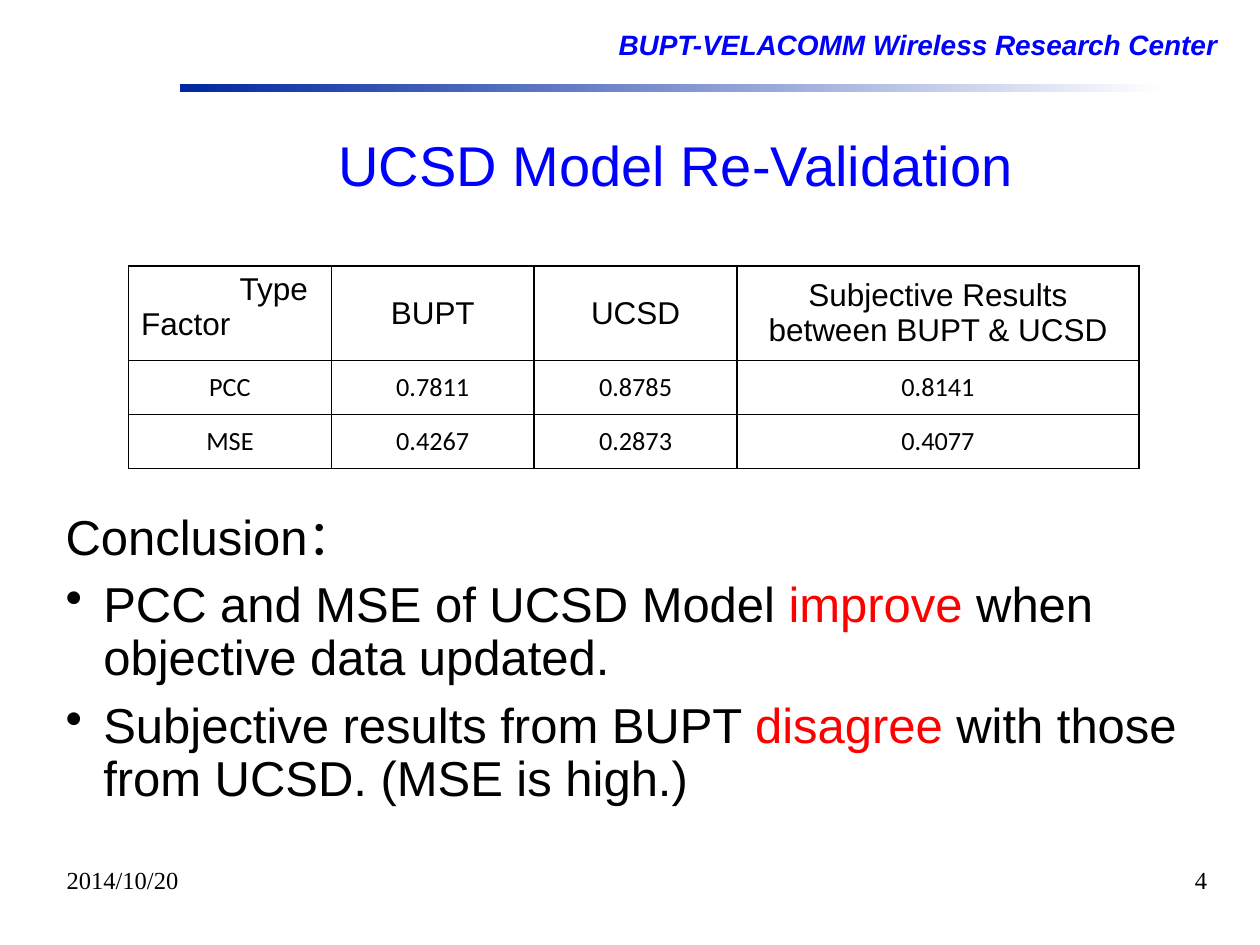
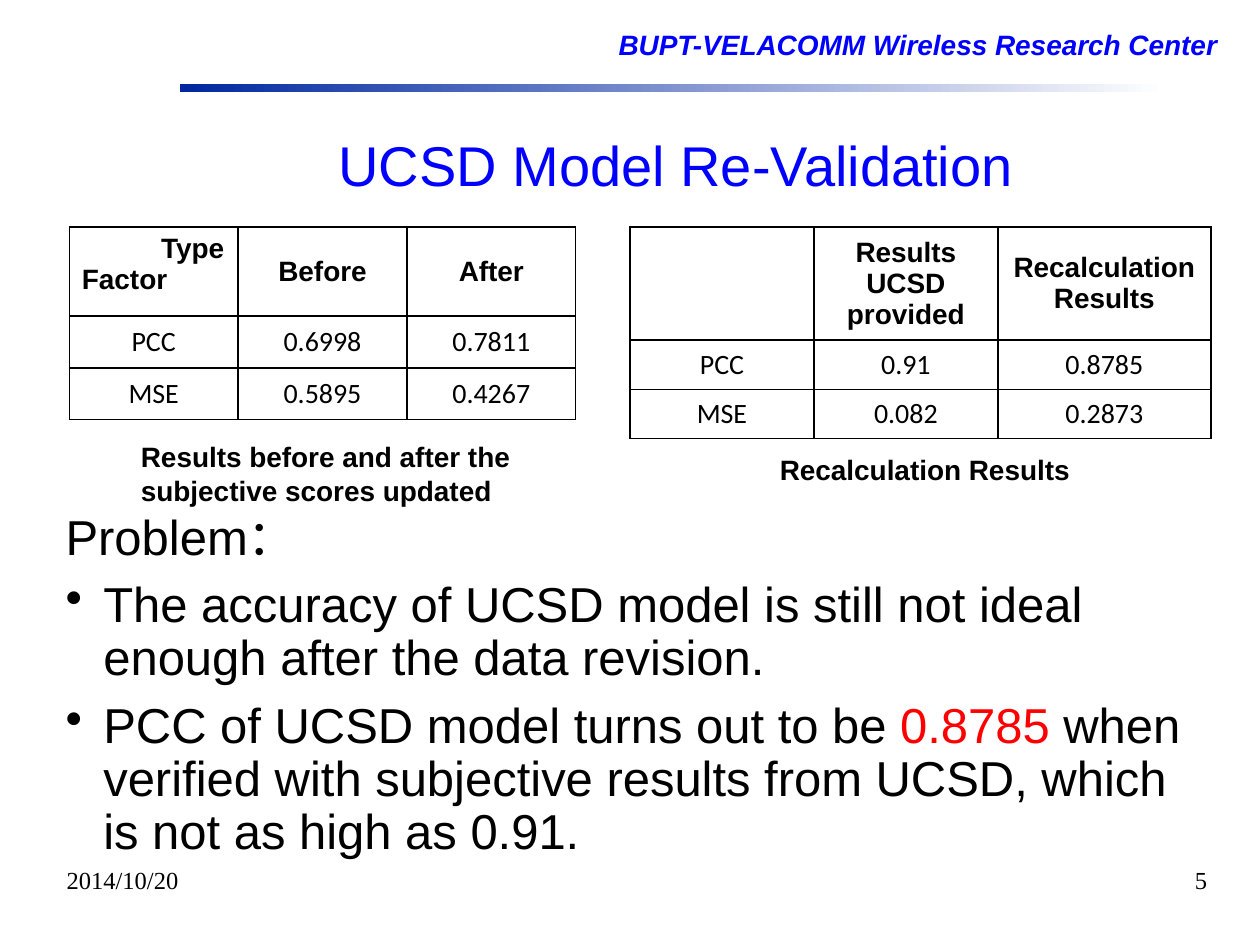
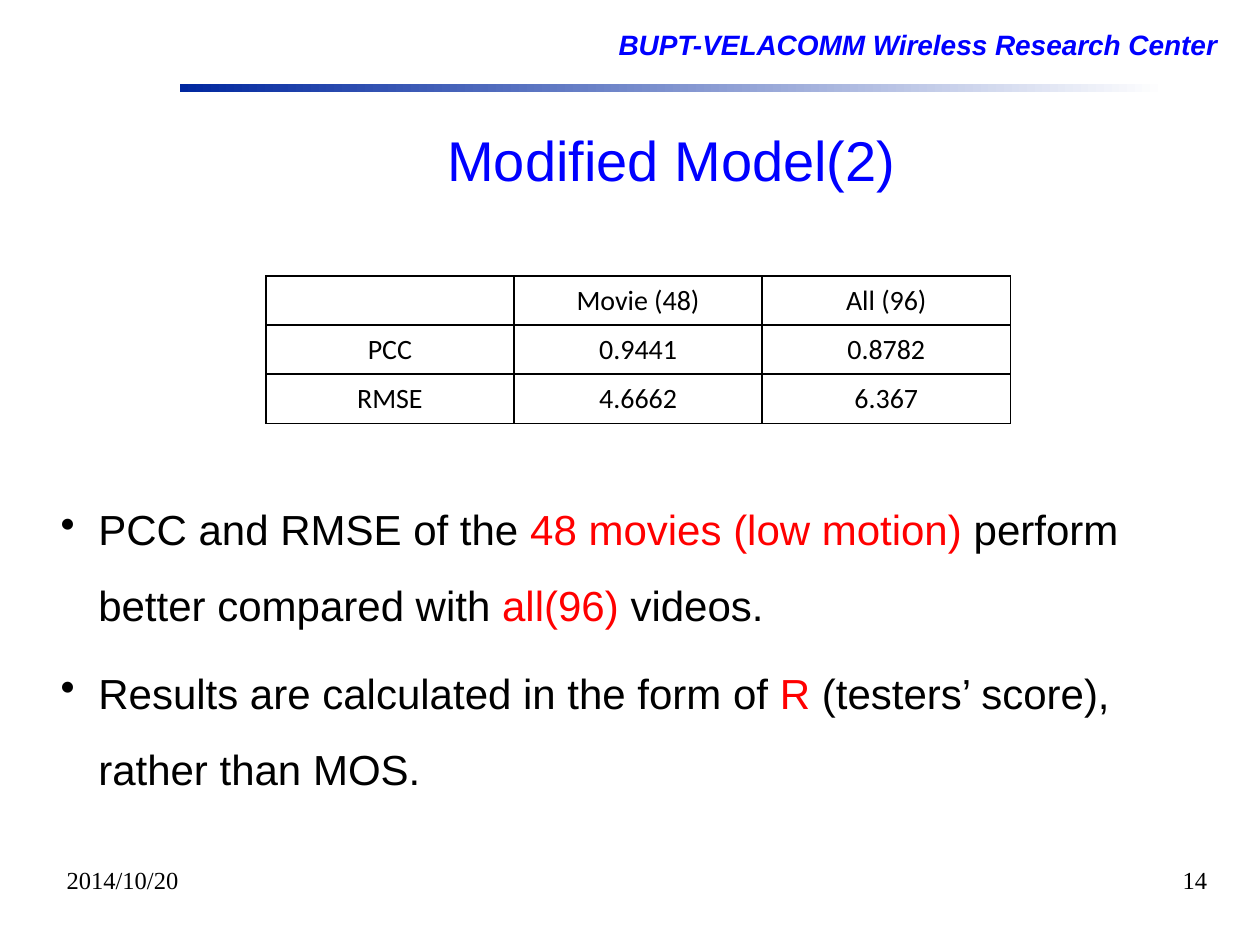
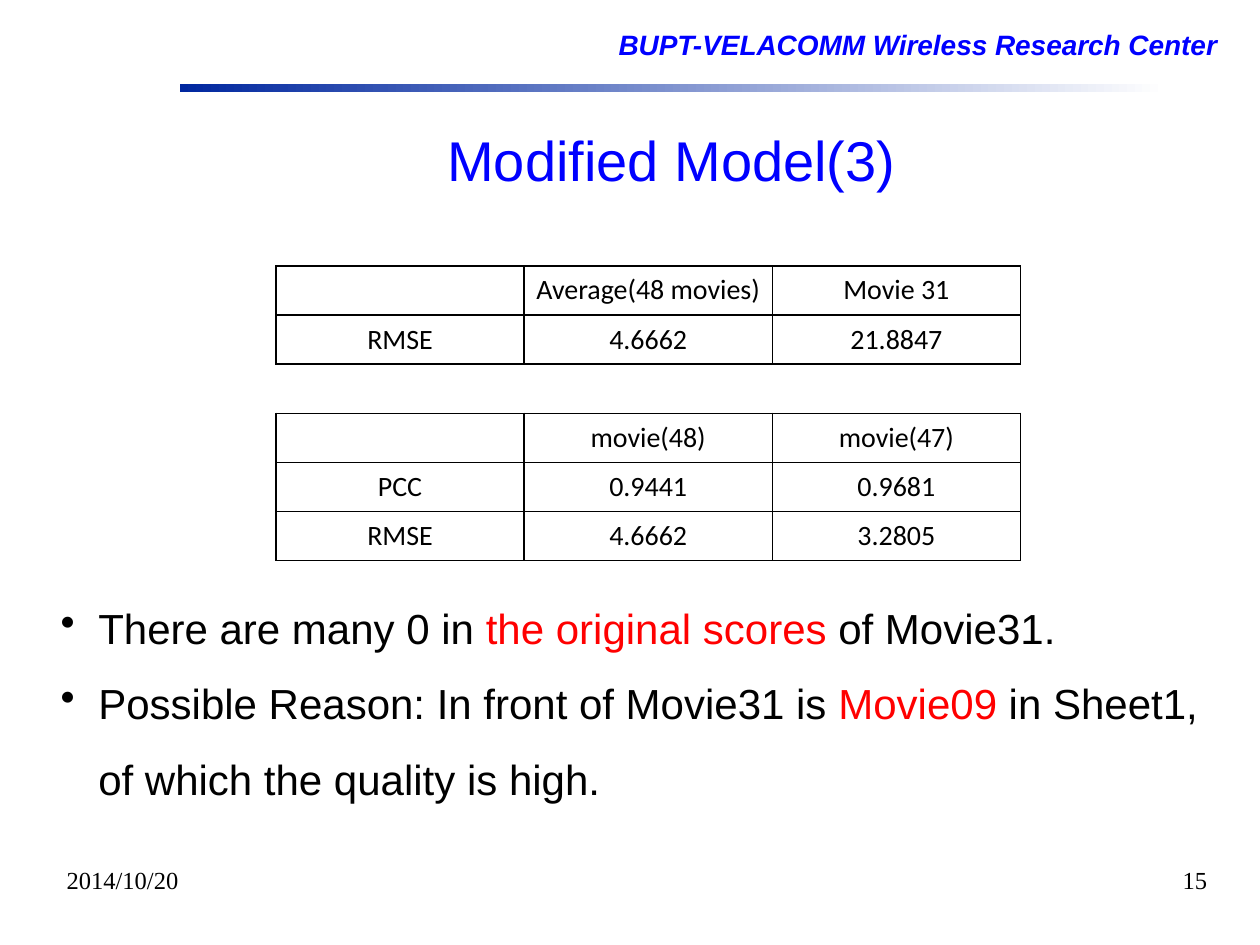
from lxml.etree import SubElement
from pptx import Presentation
from pptx.dml.color import RGBColor
from pptx.enum.shapes import MSO_SHAPE
from pptx.enum.text import MSO_ANCHOR, MSO_AUTO_SIZE, PP_ALIGN
from pptx.oxml.ns import qn
from pptx.util import Inches, Pt

BLUE = RGBColor(0x00, 0x00, 0xFF)
NAVY = RGBColor(0x00, 0x27, 0x9F)
RED = RGBColor(0xFF, 0x00, 0x00)
BLACK = RGBColor(0x00, 0x00, 0x00)
WHITE = RGBColor(0xFF, 0xFF, 0xFF)
SANS, TABLE_FONT, SERIF = "Arial", "Calibri", "Times New Roman"

CENTER_NAME = "BUPT-VELACOMM Wireless Research Center"
DATE = "2014/10/20"
CORNER = "Type\nFactor"
HANGING = Inches(0.3)
SPACE_SHARE = 2.78


def style(paragraph, size, font=SANS, color=BLACK, bold=False, italic=False,
          align=PP_ALIGN.LEFT):
    paragraph.alignment = align
    paragraph.font.size = Pt(size)
    paragraph.font.name = font
    paragraph.font.color.rgb = color
    paragraph.font.bold = bold
    paragraph.font.italic = italic


def add_frame(slide, left, top, width, height, insets=(0.1, 0.05), wrap=True):
    box = slide.shapes.add_textbox(Inches(left), Inches(top), Inches(width), Inches(height))
    frame = box.text_frame
    frame.word_wrap = wrap
    frame.auto_size = MSO_AUTO_SIZE.NONE
    frame.margin_left = frame.margin_right = Inches(insets[0])
    frame.margin_top = frame.margin_bottom = Inches(insets[1])
    return frame


def add_line(slide, left, top, width, height, text, size, insets=(0.1, 0.05),
             wrap=True, spacing=None, **look):
    paragraph = add_frame(slide, left, top, width, height, insets, wrap).paragraphs[0]
    paragraph.text = text
    paragraph.line_spacing = spacing
    style(paragraph, size, **look)


def add_band(slide):
    band = slide.shapes.add_shape(MSO_SHAPE.RECTANGLE, Inches(1.43), Inches(0.67),
                                  Inches(7.82), Inches(0.06))
    band.shadow.inherit = False
    band.line.fill.background()
    band.fill.gradient()
    band.fill.gradient_angle = 0
    for stop, color, position in zip(band.fill.gradient_stops, (NAVY, WHITE), (0, 1)):
        stop.color.rgb = color
        stop.position = position


def add_page(deck, title, number, title_top):
    slide = deck.slides.add_slide(deck.slide_layouts[6])
    add_line(slide, 4.75, 0.25, 5.17, 0.62, CENTER_NAME, 16, (0.16, 0),
             spacing=0.9, color=BLUE, bold=True, italic=True)
    add_band(slide)
    title_left, title_width = (2.58, 5.57) if title.startswith("UCSD") else (3.47, 3.72)
    add_line(slide, title_left, title_top, title_width, 0.51, title, 32, (0.07, 0.03),
             wrap=False, spacing=0.85, color=BLUE, align=PP_ALIGN.CENTER)
    add_line(slide, 0.43, 6.82, 2.08, 0.5, DATE, 14, font=SERIF)
    add_line(slide, 7.6, 6.82, 2.08, 0.5, str(number), 14, font=SERIF, align=PP_ALIGN.RIGHT)
    return slide


def add_bullet(paragraph):
    properties = paragraph._p.get_or_add_pPr()
    properties.set("marL", str(HANGING))
    properties.set("indent", str(-HANGING))
    bullet = SubElement(properties, qn("a:buChar"))
    bullet.set("char", "•")


def add_points(slide, left, top, height, size, spacing, points, heading=None, gap=0.3):
    frame = add_frame(slide, left, top, 9.21, height, (0.09, 0.05))
    lines = ([[heading]] if heading else []) + points
    for index, parts in enumerate(lines):
        paragraph = frame.paragraphs[0] if index == 0 else frame.add_paragraph()
        paragraph.line_spacing = spacing
        paragraph.space_before = Pt(size * gap if index else 0)
        if parts != [heading]:
            add_bullet(paragraph)
        style(paragraph, size)
        for part_index, part in enumerate(parts):
            run = paragraph.add_run()
            run.text = part
            if part_index % 2:
                run.font.color.rgb = RED


def draw_borders(cell):
    properties = cell._tc.get_or_add_tcPr()
    for side in ("lnL", "lnR", "lnT", "lnB"):
        border = SubElement(properties, qn(f"a:{side}"), w=str(Pt(1)))
        fill = SubElement(border, qn("a:solidFill"))
        SubElement(fill, qn("a:srgbClr"), val=str(BLACK))


def fill_cell(cell, text, size, font, bold):
    draw_borders(cell)
    cell.fill.background()
    cell.text = text
    if text != CORNER:
        cell.vertical_anchor = MSO_ANCHOR.MIDDLE
    if font == TABLE_FONT:
        cell.margin_left = cell.margin_right = Inches(0.07)
        cell.margin_top = cell.margin_bottom = 0
    for paragraph in cell.text_frame.paragraphs:
        style(paragraph, size, font, bold=bold, align=PP_ALIGN.CENTER)
    if text == CORNER:
        type_label, factor_label = cell.text_frame.paragraphs
        type_label._p.get_or_add_pPr().set("marL", str(Pt(size * SPACE_SHARE)))
        factor_label.alignment = PP_ALIGN.LEFT


def add_grid(slide, left, top, widths, heights, rows, size=16, head_size=16,
             head_font=TABLE_FONT, head_bold=False):
    frame = slide.shapes.add_table(len(rows), len(widths), Inches(left), Inches(top),
                                   Inches(sum(widths)), Inches(sum(heights)))
    grid = frame.table
    grid.first_row = grid.horz_banding = False
    for column, width in zip(grid.columns, widths):
        column.width = Inches(width)
    for row_index, (row, height) in enumerate(zip(rows, heights)):
        grid.rows[row_index].height = Inches(height)
        look = (size, TABLE_FONT, False) if row_index else (head_size, head_font, head_bold)
        for column_index, text in enumerate(row):
            fill_cell(grid.cell(row_index, column_index), text, *look)


def add_comparison(deck):
    slide = add_page(deck, "UCSD Model Re-Validation", 4, 1.09)
    add_points(slide, 0.43, 4.02, 2.88, 28, 0.9, [
        ["PCC and MSE of UCSD Model ", "improve", " when objective data updated."],
        ["Subjective results from BUPT ", "disagree", " with those from UCSD. (MSE is high.)"],
    ], heading="Conclusion：")
    add_grid(slide, 1.02, 2.11, [1.61, 1.61, 1.61, 3.19], [0.75, 0.43, 0.43], [
        [CORNER, "BUPT", "UCSD", "Subjective Results between BUPT & UCSD"],
        ["PCC", "0.7811", "0.8785", "0.8141"],
        ["MSE", "0.4267", "0.2873", "0.4077"],
    ], size=15, head_size=18, head_font=SANS)


def add_recalculation(deck):
    slide = add_page(deck, "UCSD Model Re-Validation", 5, 1.09)
    add_points(slide, 0.43, 4.02, 2.88, 28, 0.9, [
        ["The accuracy of UCSD model is still not ideal enough after the data revision."],
        ["PCC of UCSD model turns out to be ", "0.8785",
         " when verified with subjective results from UCSD, which is not as high as 0.91."],
    ], heading="Problem：")
    add_grid(slide, 0.55, 1.8, [1.34] * 3, [0.71, 0.41, 0.41], [
        [CORNER, "Before", "After"],
        ["PCC", "0.6998", "0.7811"],
        ["MSE", "0.5895", "0.4267"],
    ], head_font=SANS, head_bold=True)
    add_line(slide, 1.02, 3.44, 3.36, 0.64,
             "Results before and after the subjective scores updated", 16, bold=True)
    add_grid(slide, 5, 1.8, [1.46, 1.46, 1.69], [0.9, 0.39, 0.39], [
        ["", "Results UCSD provided", "Recalculation Results"],
        ["PCC", "0.91", "0.8785"],
        ["MSE", "0.082", "0.2873"],
    ], head_font=SANS, head_bold=True)
    add_line(slide, 6.09, 3.54, 2.81, 0.37, "Recalculation Results", 16, bold=True)


def add_low_motion(deck):
    slide = add_page(deck, "Modified Model(2)", 14, 1.05)
    add_grid(slide, 2.11, 2.19, [1.97] * 3, [0.39] * 3, [
        ["", "Movie (48)", "All (96)"],
        ["PCC", "0.9441", "0.8782"],
        ["RMSE", "4.6662", "6.367"],
    ])
    add_points(slide, 0.39, 3.75, 2.66, 24, 1.5, [
        ["PCC and RMSE of the ", "48 movies (low motion)", " perform better compared with ",
         "all(96)", " videos."],
        ["Results are calculated in the form of ", "R",
         " (testers’ score), rather than MOS."],
    ])


def add_outlier(deck):
    slide = add_page(deck, "Modified Model(3)", 15, 1.05)
    add_grid(slide, 2.19, 2.11, [1.97] * 3, [0.39] * 2, [
        ["", "Average(48 movies)", "Movie 31"],
        ["RMSE", "4.6662", "21.8847"],
    ])
    add_points(slide, 0.39, 4.53, 2.66, 24, 1.5, [
        ["There are many 0 in ", "the original scores ", "of Movie31."],
        ["Possible Reason: In front of Movie31 is ", "Movie09 ",
         "in Sheet1, of which the quality is high."],
    ], gap=0)
    add_grid(slide, 2.19, 3.28, [1.97] * 3, [0.39] * 3, [
        ["", "movie(48)", "movie(47)"],
        ["PCC", "0.9441", "0.9681"],
        ["RMSE", "4.6662", "3.2805"],
    ])


def main():
    deck = Presentation()
    deck.slide_width, deck.slide_height = Inches(10), Inches(7.5)
    add_comparison(deck)
    add_recalculation(deck)
    add_low_motion(deck)
    add_outlier(deck)
    deck.save("out.pptx")


if __name__ == "__main__":
    main()
